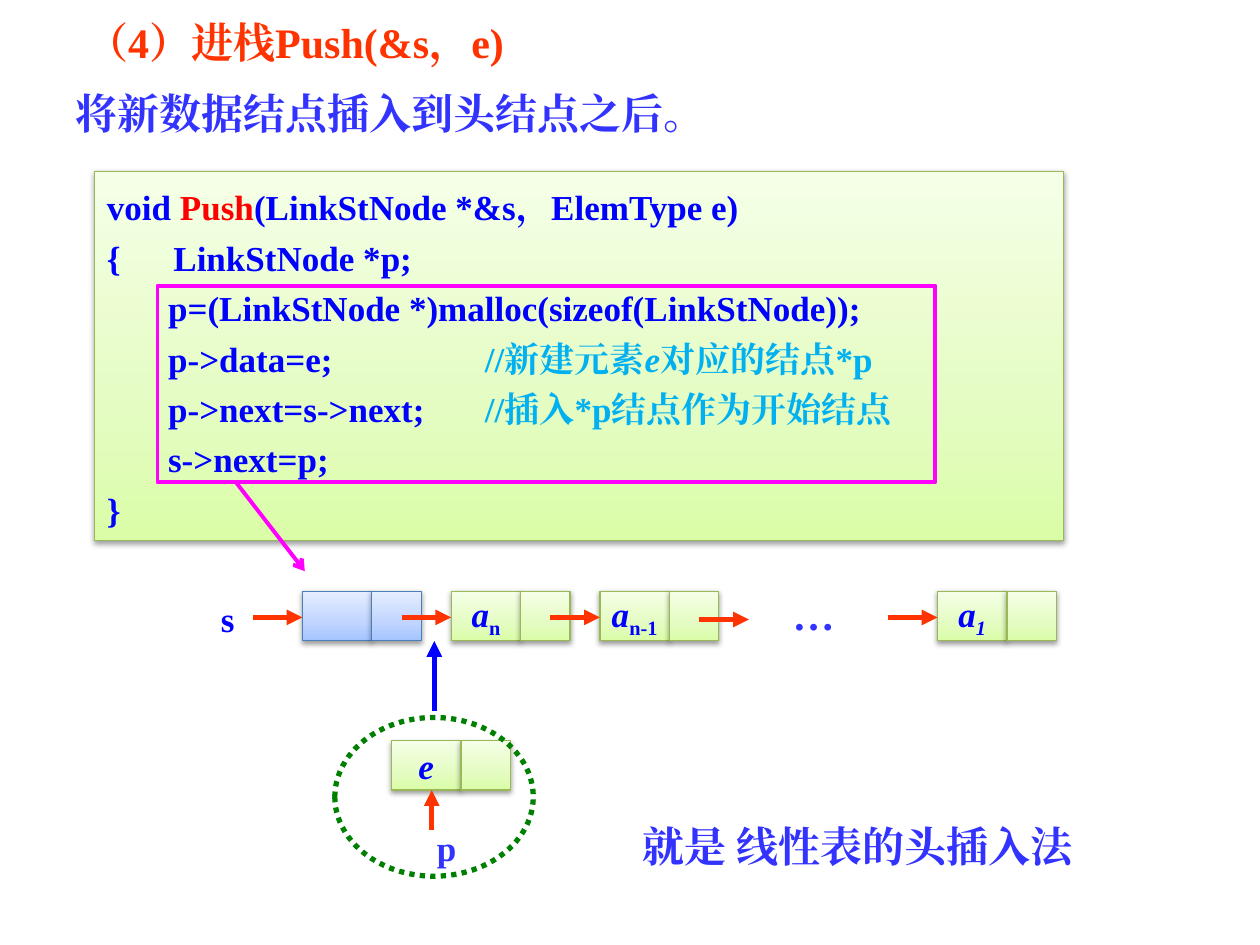
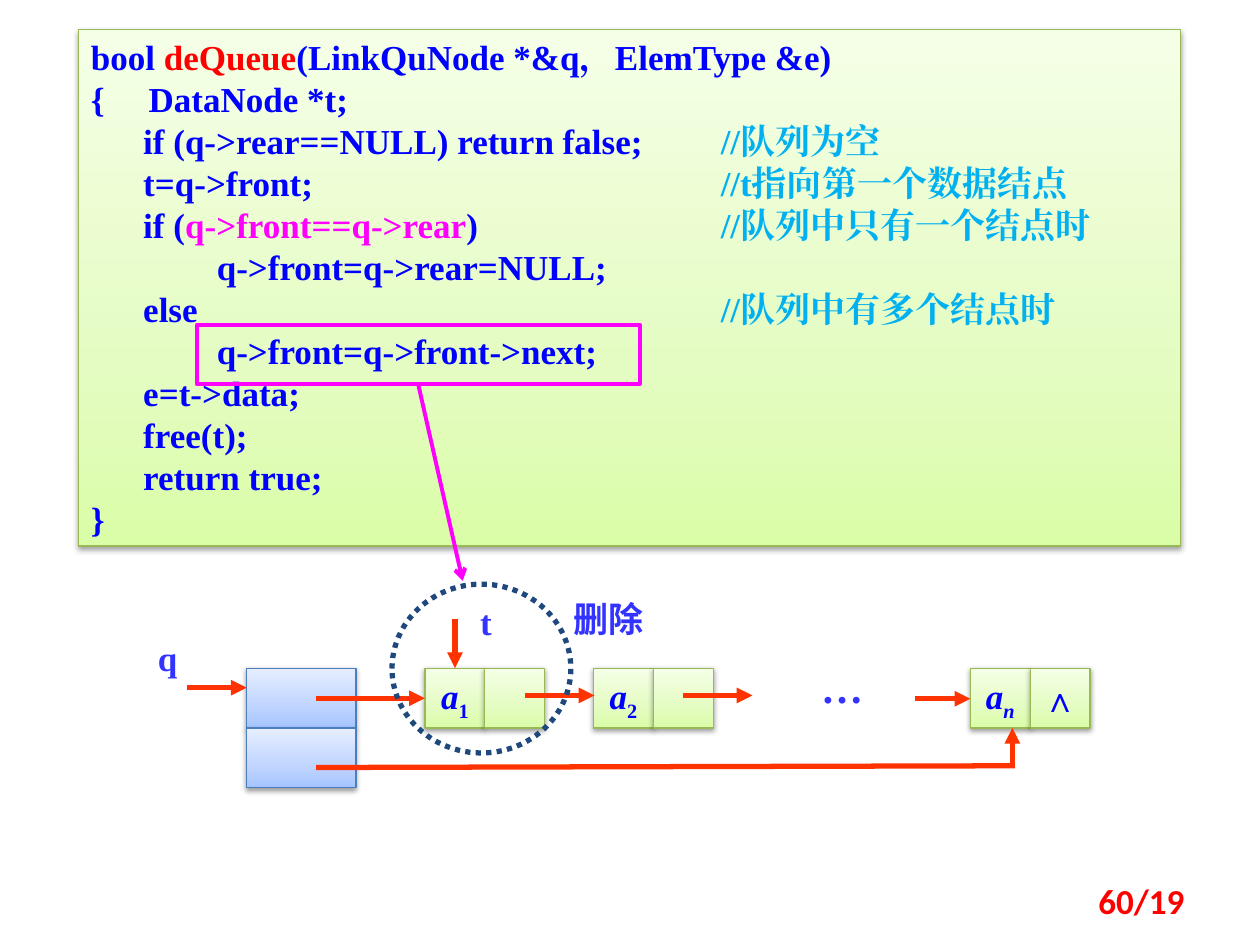
import copy
import dataclasses

import pptx
import pptx.dml.color
import pptx.enum.dml
import pptx.enum.shapes
import pptx.enum.text
import pptx.oxml.ns
import pptx.util
from lxml import etree

RGBColor = pptx.dml.color.RGBColor
Pt = pptx.util.Pt
Shape = pptx.enum.shapes.MSO_SHAPE
Align = pptx.enum.text.PP_ALIGN
Anchor = pptx.enum.text.MSO_ANCHOR
qn = pptx.oxml.ns.qn

ORANGE = RGBColor(0xFF, 0x33, 0x00)
RED = RGBColor(0xFF, 0x00, 0x00)
BLUE = RGBColor(0x00, 0x00, 0xFF)
INDIGO = RGBColor(0x33, 0x33, 0xFF)
SKY = RGBColor(0x00, 0xB0, 0xF0)
MAGENTA = RGBColor(0xFF, 0x00, 0xFF)
DARK_GREEN = RGBColor(0x00, 0x80, 0x00)
NAVY = RGBColor(0x1F, 0x49, 0x7D)
GREEN_EDGE = RGBColor(0x98, 0xB9, 0x55)
BLUE_EDGE = RGBColor(0x4B, 0x7E, 0xBC)
GREEN_STOPS = (RGBColor(0xDA, 0xFD, 0xA7), RGBColor(0xE4, 0xFC, 0xC2), RGBColor(0xF5, 0xFF, 0xE7))
BLUE_STOPS = (RGBColor(0xA4, 0xC4, 0xFF), RGBColor(0xBF, 0xD4, 0xFF), RGBColor(0xE6, 0xEE, 0xFF))
GREEN = (GREEN_STOPS, GREEN_EDGE)
BLUE_HEAD = (BLUE_STOPS, BLUE_EDGE)


@dataclasses.dataclass
class Span:
    text: str
    color: RGBColor = BLUE
    size: float = 20
    font: str = "Times New Roman"
    italic: bool = False
    subscript: bool = False


def variable(name, index="", italic_index=False):
    """Spans of an italic variable with its subscript."""
    spans = [Span(name, italic=True)]
    if index:
        spans.append(Span(index, italic=italic_index, subscript=True))
    return spans


def add_child(parent, tag, **attributes):
    return etree.SubElement(parent, qn(tag), attributes)


class Deck:
    def __init__(self):
        self.presentation = pptx.Presentation()
        self.presentation.slide_width = Pt(720)
        self.presentation.slide_height = Pt(540)
        self.slide = None

    def new_slide(self):
        self.slide = self.presentation.slides.add_slide(self.presentation.slide_layouts[6])

    def add_spans(self, paragraph, spans, align=Align.LEFT, spacing=None):
        paragraph.alignment = align
        if spacing:
            paragraph.line_spacing = spacing
        for span in spans:
            run = paragraph.add_run()
            run.text = span.text
            font = run.font
            font.name, font.size, font.bold = span.font, Pt(span.size), True
            font.italic = span.italic
            font.color.rgb = span.color
            properties = run._r.get_or_add_rPr()
            add_child(properties, "a:ea", typeface=span.font)
            if span.subscript:
                properties.set("baseline", "-25000")

    def text(self, left, top, width, height, spans, align=Align.CENTER,
             anchor=Anchor.TOP, spacing=None):
        box = self.slide.shapes.add_textbox(Pt(left), Pt(top), Pt(width), Pt(height))
        frame = box.text_frame
        frame.word_wrap = True
        frame.vertical_anchor = anchor
        self.add_spans(frame.paragraphs[0], spans, align, spacing)
        return frame

    def outline(self, kind, left, top, width, height, color, weight, dotted=False):
        shape = self.slide.shapes.add_shape(kind, Pt(left), Pt(top), Pt(width), Pt(height))
        shape.shadow.inherit = False
        shape.fill.background()
        shape.line.color.rgb = color
        shape.line.width = Pt(weight)
        if dotted:
            shape.line.dash_style = pptx.enum.dml.MSO_LINE.ROUND_DOT
        return shape

    def panel(self, left, top, width, height, style=GREEN):
        """A rectangle with a vertical gradient and a soft shadow."""
        colors, edge = style
        shape = self.outline(Shape.RECTANGLE, left, top, width, height, edge, 0.75)
        shape.fill.gradient()
        shape.fill.gradient_angle = 90
        properties = shape.element.spPr
        stop_list = properties.find(".//" + qn("a:gsLst"))
        stop_list.insert(1, copy.deepcopy(stop_list[0]))
        for stop, position, color in zip(shape.fill.gradient_stops, (0, 0.35, 1), colors):
            stop.position = position
            stop.color.rgb = color
        shadow = add_child(properties.find(qn("a:effectLst")), "a:outerShdw", blurRad=str(Pt(3.1)),
                           dist=str(Pt(1.6)), dir="5400000", rotWithShape="0")
        add_child(add_child(shadow, "a:srgbClr", val="000000"), "a:alpha", val="38000")
        return shape

    def cell(self, left, top, width, height, spans=(), style=GREEN):
        frame = self.panel(left, top, width, height, style).text_frame
        frame.word_wrap = False
        frame.vertical_anchor = Anchor.MIDDLE
        if spans:
            self.add_spans(frame.paragraphs[0], spans, Align.CENTER)

    def node(self, left, top, widths, height, data=(), link=(), style=GREEN):
        """A list node: a data cell and a link cell side by side."""
        self.cell(left, top, widths[0], height, data, style)
        self.cell(left + widths[0], top, widths[1], height, link, style)

    def code(self, left, top, width, height, lines, spacing):
        """Lines are pairs: the tab stop in points (or None) and the spans."""
        frame = self.panel(left, top, width, height).text_frame
        frame.word_wrap = True
        frame.vertical_anchor = Anchor.TOP
        for number, (tab, spans) in enumerate(lines):
            paragraph = frame.add_paragraph() if number else frame.paragraphs[0]
            self.add_spans(paragraph, spans, spacing=Pt(spacing))
            if tab:
                tabs = add_child(paragraph._p.get_or_add_pPr(), "a:tabLst")
                add_child(tabs, "a:tab", pos=str(Pt(tab)), algn="l")

    def line(self, x1, y1, x2, y2, color=ORANGE, weight=3, head="triangle"):
        connector = self.slide.shapes.add_connector(
            pptx.enum.shapes.MSO_CONNECTOR.STRAIGHT, Pt(x1), Pt(y1), Pt(x2), Pt(y2))
        connector.line.color.rgb = color
        connector.line.width = Pt(weight)
        properties = connector.element.spPr
        if head:
            add_child(properties.find(qn("a:ln")), "a:tailEnd", type=head)
        add_child(properties, "a:effectLst")

    def callout(self, left, top, width, height, arrow):
        """A magenta frame round some code, with an arrow to the drawing."""
        self.outline(Shape.RECTANGLE, left, top, width, height, MAGENTA, 2.25)
        self.line(*arrow, color=MAGENTA, weight=2.25, head="arrow")


def push_slide(deck):
    deck.new_slide()
    frame = deck.text(12.2, 11.5, 696, 74, [Span("（4）进栈Push(&s，e)", ORANGE, 24)],
                      Align.JUSTIFY, spacing=0.8)
    subtitle = frame.add_paragraph()
    deck.add_spans(subtitle, [Span("将新数据结点插入到头结点之后。", INDIGO, 24)], Align.JUSTIFY)
    subtitle.space_before = Pt(12)
    for paragraph, margin in zip(frame.paragraphs, (30, 24)):
        paragraph._p.get_or_add_pPr().set("marL", str(Pt(margin)))

    deck.code(54, 97.9, 553.7, 211, [
        (None, [Span("void "), Span("Push", RED), Span("(LinkStNode *&s，ElemType e)")]),
        (38, [Span("{\tLinkStNode *p;")]),
        (None, [Span("       p=(LinkStNode *)malloc(sizeof(LinkStNode));")]),
        (216, [Span("       p->data=e;\t"), Span("//新建元素", SKY),
               Span("e", SKY, italic=True), Span("对应的结点*p", SKY)]),
        (216, [Span("       p->next=s->next;\t"), Span("//插入*p结点作为开始结点", SKY)]),
        (None, [Span("       s->next=p;")]),
        (None, [Span("}")]),
    ], 28.8)

    widths, height, top, pitch, reach = (39.7, 28.3), 28.3, 337.9, 85, 28.3
    first, last = 172.8, 535.7
    nodes = [
        (first, (), BLUE_HEAD),
        (first + pitch, variable("a", "n"), GREEN),
        (first + 2 * pitch, variable("a", "n-1"), GREEN),
        (last, variable("a", "1", italic_index=True), GREEN),
    ]
    for left, data, style in nodes:
        deck.node(left, top, widths, height, data, style=style)
    for left, *_ in nodes:
        deck.line(left - reach, 352.8, left, 352.8)
    deck.line(399.6, 354, 399.6 + reach, 354)
    deck.text(116, 337.9, 28.3, 31, [Span("s")])
    deck.text(445, 332.6, 39.7, 36, [Span("…", INDIGO, 24)])

    deck.node(223.7, 423.2, widths, height, variable("e"))
    deck.line(246.7, 474.2, 246.7, 451.5)
    deck.text(229.7, 468.7, 51, 31, [Span("p", INDIGO)])
    deck.outline(Shape.OVAL, 191.3, 410, 113.4, 90.7, DARK_GREEN, 3, dotted=True)
    deck.line(248.2, 406.2, 248.2, 366.3, BLUE)
    deck.callout(90, 163.3, 444.5, 112.3, (135, 275.8, 174.2, 326.4))
    deck.text(360, 468.7, 284, 33, [Span("就是 线性表的头插入法", INDIGO, 24)],
              Align.JUSTIFY, spacing=0.9)


def dequeue_slide(deck):
    deck.new_slide()
    comment = 360
    deck.code(44.8, 16.8, 630, 295.2, [
        (None, [Span("bool "), Span("deQueue", RED), Span("(LinkQuNode *&q，ElemType &e)")]),
        (33, [Span("{\tDataNode *t;")]),
        (comment, [Span("      if (q->rear==NULL) return false;\t"), Span("//队列为空", SKY)]),
        (comment, [Span("      t=q->front;\t"), Span("//t指向第一个数据结点", SKY)]),
        (comment, [Span("      if ("), Span("q->front==q->rear", MAGENTA), Span(")\t"),
                   Span("//队列中只有一个结点时", SKY)]),
        (72, [Span("\tq->front=q->rear=NULL;")]),
        (comment, [Span("      else\t"), Span("//队列中有多个结点时", SKY)]),
        (72, [Span("\tq->front=q->front->next;")]),
        (None, [Span("      e=t->data;")]),
        (None, [Span("      free(t);")]),
        (None, [Span("      return true;")]),
        (None, [Span("}")]),
    ], 24)

    side, top = 34.2, 381.8
    for row in range(2):
        deck.cell(141, top + row * side, 62.4, side, style=BLUE_HEAD)
    for left, data, link in [
        (242.8, variable("a", "1"), ()),
        (339.2, variable("a", "2"), ()),
        (554.5, variable("a", "n", italic_index=True), [Span("∧")]),
    ]:
        deck.node(left, top, (side, side), side, data, link)

    for x1, x2, y in [(107, 141, 393), (180.7, 242.8, 399), (300, 339.7, 397.4),
                      (390.2, 430, 397.4), (522.7, 554.5, 399.3)]:
        deck.line(x1, y, x2, y)
    deck.line(180.7, 438.6, 580, 437.6, head=None)
    deck.line(578.5, 438.5, 578.5, 416)
    deck.line(260, 353.5, 260, 381.8)

    deck.outline(Shape.OVAL, 224, 333.8, 102.2, 96.5, NAVY, 3, dotted=True)
    deck.callout(112.5, 185.7, 253.3, 33.8, (239, 219.6, 264.4, 331.9))
    deck.text(78.8, 360, 34, 31, [Span("q", INDIGO)])
    deck.text(263.5, 339.8, 28.3, 31, [Span("t", INDIGO)])
    deck.text(450, 374.5, 62.6, 36, [Span("…", INDIGO, 24)])
    deck.text(320.4, 337.7, 67.7, 31.5, [Span("删除", INDIGO, font="Noto Sans CJK SC")], Align.LEFT)
    deck.text(516, 500.4, 168, 28.8, [Span("60/19", RED, font="Calibri")],
              Align.RIGHT, Anchor.MIDDLE)


def main():
    deck = Deck()
    push_slide(deck)
    dequeue_slide(deck)
    deck.presentation.save("out.pptx")


if __name__ == "__main__":
    main()
